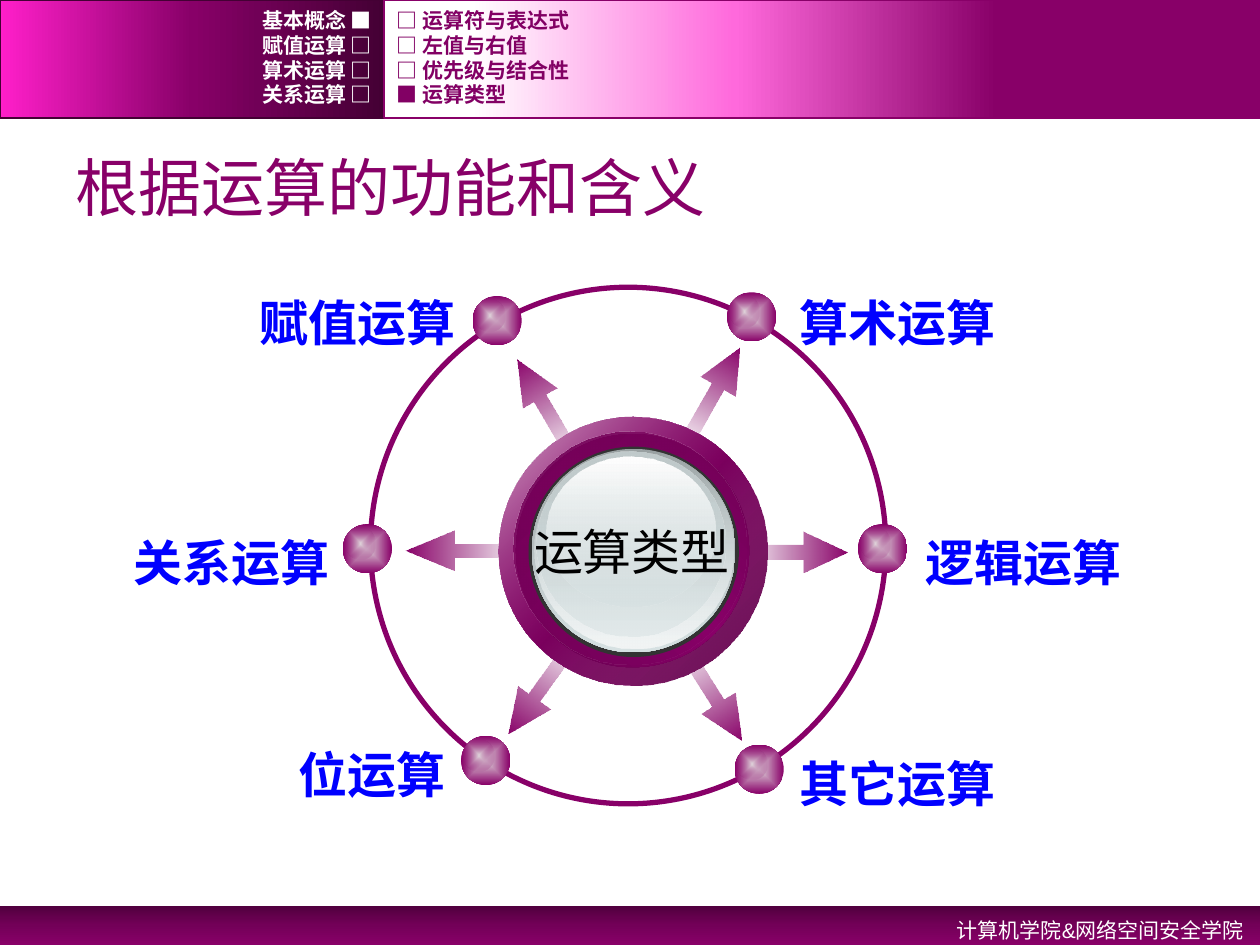
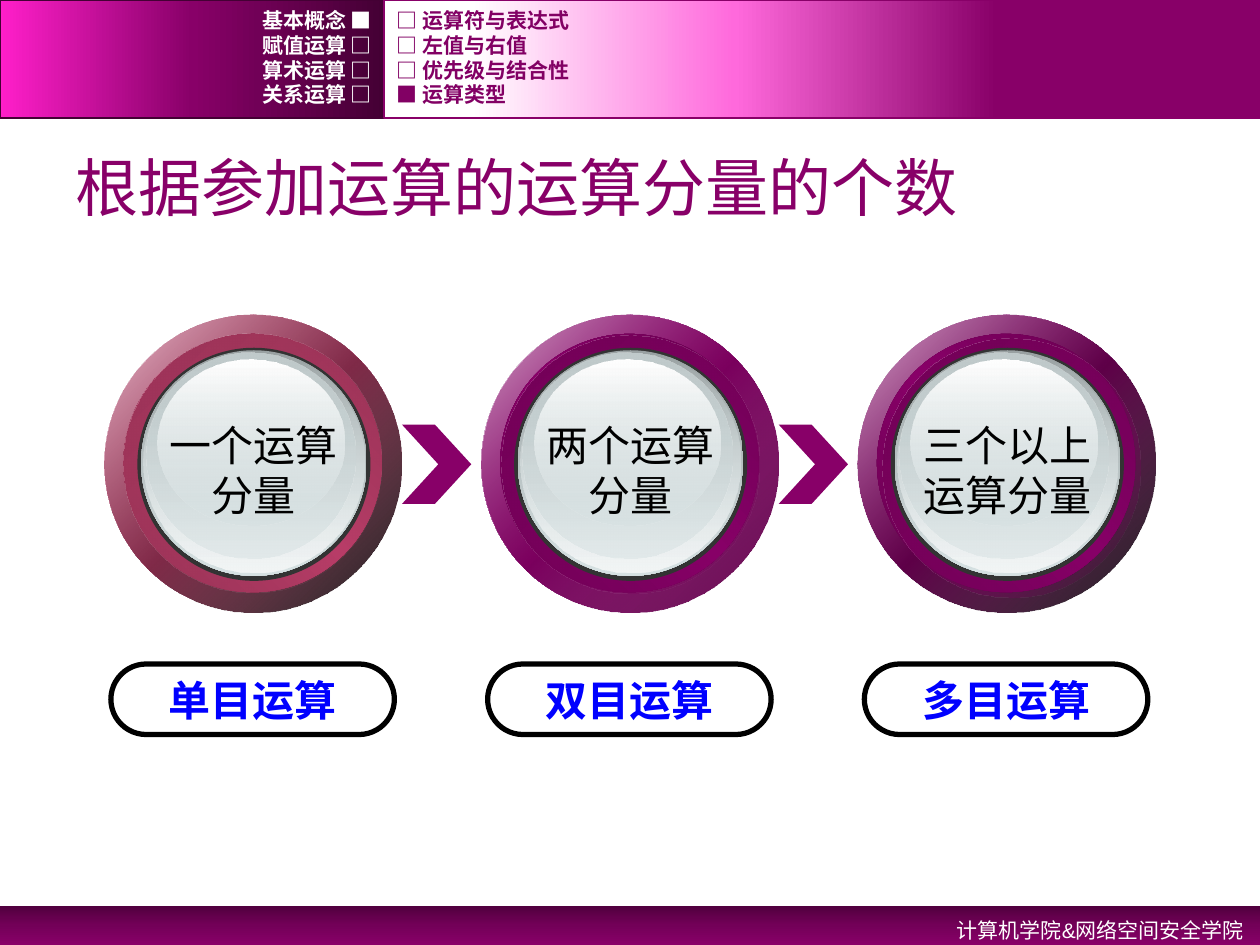
from dataclasses import dataclass
from typing import Optional, Union

import lxml.etree
import pptx
import pptx.dml.color
import pptx.enum.shapes
import pptx.enum.text
import pptx.oxml.ns
import pptx.presentation
import pptx.shapes.autoshape
import pptx.shapes.shapetree
import pptx.slide
import pptx.text.text
import pptx.util

Inches = pptx.util.Inches
SHAPE = pptx.enum.shapes.MSO_SHAPE
ALIGN = pptx.enum.text.PP_ALIGN
ANCHOR = pptx.enum.text.MSO_ANCHOR
qn = pptx.oxml.ns.qn
Canvas = Union[pptx.shapes.shapetree.SlideShapes, pptx.shapes.shapetree.GroupShapes]


@dataclass(frozen=True)
class Theme:
    plum: str = "880068"
    plum_deep: str = "680050"
    plum_dusk: str = "700055"
    plum_shade: str = "61004A"
    rose: str = "B83D68"
    rose_deep: str = "8D2F50"
    rose_dusk: str = "973255"
    night: str = "440034"
    menu: str = "820064"
    arrow: str = "810063"
    pearl: str = "E0D5DB"
    mist: str = "D6E1E2"
    blue: str = "0000FF"
    black: str = "000000"
    white: str = "FFFFFF"
    charcoal: str = "333333"
    sans: str = "Arial"
    mono: str = "Courier New"
    pill_font: str = "DejaVu Sans"
    chinese: str = "Noto Sans CJK SC"
    title_size: int = 36
    label_size: int = 28
    dial_size: int = 24
    small_size: int = 12


THEME = Theme()


@dataclass(frozen=True)
class Stop:
    position: int
    color: str
    alpha: int = 100


@dataclass(frozen=True)
class Gradient:
    stops: tuple[Stop, ...]
    angle: Optional[int] = None


@dataclass(frozen=True)
class Area:
    left: float
    top: float
    width: float
    height: float


@dataclass(frozen=True)
class Style:
    size: int
    color: str
    font: str
    bold: bool = False
    align: ALIGN = ALIGN.LEFT


@dataclass(frozen=True)
class Palette:
    base: str
    deep: str
    dusk: str
    shade: Stop


@dataclass(frozen=True)
class Spoke:
    label: str
    label_area: Area
    align: ALIGN
    node_left: float
    node_top: float
    arrow_area: Area
    angle: float
    head: float = 1.11


@dataclass(frozen=True)
class Stage:
    lines: tuple[str, ...]
    name: str
    palette: Palette
    sheen: float


def blend(angle: Optional[int], *stops: Stop) -> Gradient:
    return Gradient(stops, angle)


BLACK_SHADE = Stop(100, THEME.black, 90)
PLUM_SHADE = Stop(100, THEME.plum_shade)
PLUM = Palette(THEME.plum, THEME.plum_deep, THEME.plum_dusk, PLUM_SHADE)
PLUM_DARK = Palette(THEME.plum, THEME.plum_deep, THEME.plum_dusk, BLACK_SHADE)
ROSE = Palette(THEME.rose, THEME.rose_deep, THEME.rose_dusk, BLACK_SHADE)

DIAL_WIDTH = 2.36
GLASS = (
    (Area(0.29, 0.28, 1.79, 1.79), blend(90, Stop(0, "99A1A2"), Stop(100, THEME.mist))),
    (Area(0.31, 0.29, 1.75, 1.75), blend(90, Stop(0, THEME.mist, 0), Stop(100, "F2F5F5"))),
    (Area(0.33, 0.3, 1.66, 1.63), blend(90, Stop(0, "C1CBCC"), Stop(100, THEME.mist, 48))),
    (Area(0.42, 0.35, 1.48, 1.32), blend(90, Stop(0, THEME.white), Stop(100, THEME.mist, 38))),
)
ARROW_FILL = blend(0, Stop(0, THEME.arrow, 0), Stop(100, THEME.plum))

CHAPTERS = ("基本概念 ■", "赋值运算 □", "算术运算 □", "关系运算 □")
SECTIONS = ("□ 运算符与表达式", "□ 左值与右值", "□ 优先级与结合性", "■ 运算类型")
SPOKES = (
    Spoke("算术运算", Area(6.25, 2.27, 1.77, 0.57), ALIGN.LEFT, 5.77, 2.32,
          Area(5.22, 2.98, 0.87, 0.32), 299.6),
    Spoke("赋值运算", Area(1.94, 2.27, 1.77, 0.57), ALIGN.RIGHT, 3.75, 2.35,
          Area(3.89, 3.07, 0.87, 0.32), 239.5),
    Spoke("逻辑运算", Area(7.25, 4.18, 1.77, 0.57), ALIGN.LEFT, 6.81, 4.16,
          Area(5.86, 4.22, 0.87, 0.32), 0),
    Spoke("其它运算", Area(6.25, 5.93, 1.77, 0.57), ALIGN.LEFT, 5.83, 5.91,
          Area(5.22, 5.35, 0.87, 0.32), 57.8),
    Spoke("关系运算", Area(0.94, 4.18, 1.77, 0.57), ALIGN.RIGHT, 2.72, 4.16,
          Area(3.22, 4.21, 0.94, 0.32), 180, 1.21),
    Spoke("位运算", Area(2.25, 5.86, 1.38, 0.57), ALIGN.RIGHT, 3.66, 5.84,
          Area(3.85, 5.31, 0.87, 0.32), 125.6),
)
STAGES = (
    Stage(("一个运算", "分量"), "单目运算", ROSE, 0.15),
    Stage(("两个运算", "分量"), "双目运算", PLUM, 0.16),
    Stage(("三个以上", "运算分量"), "多目运算", PLUM_DARK, 0.19),
)


def rgb(color: str) -> pptx.dml.color.RGBColor:
    return pptx.dml.color.RGBColor.from_string(color)


def paint_gradient(shape: pptx.shapes.autoshape.Shape, gradient: Gradient) -> None:
    shape.fill.gradient()
    element = shape._element.spPr.find(qn("a:gradFill"))
    element.clear()
    element.set("rotWithShape", "1")
    stop_list = lxml.etree.SubElement(element, qn("a:gsLst"))
    for stop in gradient.stops:
        item = lxml.etree.SubElement(stop_list, qn("a:gs"), pos=str(stop.position * 1000))
        color = lxml.etree.SubElement(item, qn("a:srgbClr"), val=stop.color)
        if stop.alpha < 100:
            lxml.etree.SubElement(color, qn("a:alpha"), val=str(stop.alpha * 1000))
    if gradient.angle is None:
        route = lxml.etree.SubElement(element, qn("a:path"), path="shape")
        lxml.etree.SubElement(route, qn("a:fillToRect"), dict.fromkeys("ltrb", "50000"))
    else:
        lxml.etree.SubElement(element, qn("a:lin"), ang=str(gradient.angle * 60000), scaled="0")


def add_form(shapes: Canvas, kind: SHAPE, area: Area, fill: Union[Gradient, str, None] = None,
             line: Optional[str] = None, line_width: float = 1,
             adjustments: tuple[float, ...] = ()) -> pptx.shapes.autoshape.Shape:
    shape = shapes.add_shape(kind, Inches(area.left), Inches(area.top),
                             Inches(area.width), Inches(area.height))
    shape.shadow.inherit = False
    for index, value in enumerate(adjustments):
        shape.adjustments[index] = value
    if isinstance(fill, Gradient):
        paint_gradient(shape, fill)
    elif fill:
        shape.fill.solid()
        shape.fill.fore_color.rgb = rgb(fill)
    else:
        shape.fill.background()
    if line:
        shape.line.color.rgb = rgb(line)
        shape.line.width = pptx.util.Pt(line_width)
    else:
        shape.line.fill.background()
    return shape


def write(frame: pptx.text.text.TextFrame, lines: tuple[str, ...], style: Style,
          anchor: ANCHOR, wrap: bool, spacing: float = 1.0) -> None:
    frame.word_wrap = wrap
    frame.vertical_anchor = anchor
    for index, line in enumerate(lines):
        para = frame.add_paragraph() if index else frame.paragraphs[0]
        para.alignment = style.align
        para.line_spacing = spacing
        span = para.add_run()
        span.text = line
        span.font.size = pptx.util.Pt(style.size)
        span.font.bold = style.bold
        span.font.color.rgb = rgb(style.color)
        span.font.name = style.font
        lxml.etree.SubElement(span._r.get_or_add_rPr(), qn("a:ea"), typeface=THEME.chinese)


def add_text(page: pptx.slide.Slide, area: Area, lines: tuple[str, ...], style: Style,
             anchor: ANCHOR = ANCHOR.TOP, wrap: bool = False, spacing: float = 1.0) -> None:
    box = page.shapes.add_textbox(Inches(area.left), Inches(area.top),
                                  Inches(area.width), Inches(area.height))
    write(box.text_frame, lines, style, anchor, wrap, spacing)


def add_page(deck: pptx.presentation.Presentation, title: str) -> pptx.slide.Slide:
    page = deck.slides.add_slide(deck.slide_layouts[6])
    add_form(page.shapes, SHAPE.RECTANGLE, Area(0, 7.19, 10, 0.31),
             blend(90, Stop(0, "51003E"), Stop(50, "730058"), Stop(100, THEME.plum)))
    add_form(page.shapes, SHAPE.RECTANGLE, Area(0, 0, 3.05, 0.94),
             blend(180, Stop(0, THEME.night), Stop(50, THEME.plum), Stop(100, "FF1FCA")),
             THEME.night)
    add_form(page.shapes, SHAPE.RECTANGLE, Area(3.05, 0, 6.95, 0.94),
             blend(180, Stop(30, THEME.plum), Stop(60, "FF69DC"), Stop(90, THEME.white)),
             THEME.plum)
    add_text(page, Area(6.42, 7.19, 3.55, 0.32), ("计算机学院&网络空间安全学院",),
             Style(THEME.small_size, THEME.white, THEME.sans, align=ALIGN.RIGHT),
             wrap=True, spacing=1.2)
    add_text(page, Area(0.5, 1.09, 9, 0.78), (title,),
             Style(THEME.title_size, THEME.plum, THEME.sans), ANCHOR.MIDDLE, True)
    chapter_style = Style(THEME.small_size, THEME.white, THEME.mono, True, ALIGN.RIGHT)
    section_style = Style(THEME.small_size, THEME.menu, THEME.mono, True)
    for row, (chapter, section) in enumerate(zip(CHAPTERS, SECTIONS)):
        top = 0.06 + row * 0.197
        add_text(page, Area(0, top, 3.05, 0.2), (chapter,), chapter_style, ANCHOR.MIDDLE, True)
        add_text(page, Area(3.05, top, 6.02, 0.2), (section,), section_style, ANCHOR.MIDDLE, True)
    return page


def add_dial(page: pptx.slide.Slide, left: float, top: float, width: float,
             palette: Palette, sheen: float) -> None:
    scale = width / DIAL_WIDTH
    base = palette.base
    rim = Area(0, 0, DIAL_WIDTH, DIAL_WIDTH)
    layers = (
        (rim, blend(45, Stop(0, THEME.white), Stop(50, base), Stop(100, THEME.white))),
        (rim, blend(45, Stop(0, base, 32), palette.shade)),
        (Area(0.15, 0.15, 2.05, 2.05),
         blend(315, Stop(0, palette.deep), Stop(50, base), Stop(100, palette.deep))),
        (Area(sheen, sheen, 2.05, 2.05), blend(45, Stop(0, palette.dusk), Stop(100, base, 0))),
        (Area(0.26, 0.26, 1.85, 1.85), THEME.charcoal),
    )
    for area, fill in layers + GLASS:
        add_form(page.shapes, SHAPE.OVAL,
                 Area(left + area.left * scale, top + area.top * scale,
                      area.width * scale, area.height * scale), fill)


def add_node(page: pptx.slide.Slide, left: float, top: float) -> None:
    group = page.shapes.add_group_shape()
    add_form(group.shapes, SHAPE.OVAL, Area(left, top, 0.39, 0.39),
             blend(None, Stop(0, THEME.pearl), Stop(100, THEME.plum)))
    add_form(group.shapes, SHAPE.OVAL, Area(left + 0.02, top + 0.03, 0.24, 0.25),
             blend(None, Stop(0, THEME.pearl), Stop(100, THEME.plum, 0)))


def build_wheel(deck: pptx.presentation.Presentation) -> None:
    page = add_page(deck, "根据运算的功能和含义")
    for spoke in SPOKES:
        arrow = add_form(page.shapes, SHAPE.RIGHT_ARROW, spoke.arrow_area, ARROW_FILL,
                         adjustments=(0.352, spoke.head))
        arrow.rotation = spoke.angle
    add_form(page.shapes, SHAPE.OVAL, Area(2.94, 2.28, 4.09, 4.1),
             line=THEME.plum, line_width=3)
    for spoke in SPOKES:
        add_node(page, spoke.node_left, spoke.node_top)
        add_text(page, spoke.label_area, (spoke.label,),
                 Style(THEME.label_size, THEME.blue, THEME.sans, True, spoke.align))
    add_dial(page, 3.96, 3.31, 2.13, PLUM, 0.13)
    add_text(page, Area(4.13, 4.09, 1.77, 0.57), ("运算类型",),
             Style(THEME.label_size, THEME.black, THEME.chinese, align=ALIGN.CENTER))


def build_stages(deck: pptx.presentation.Presentation) -> None:
    page = add_page(deck, "根据参加运算的运算分量的个数")
    dial_style = Style(THEME.dial_size, THEME.black, THEME.chinese, align=ALIGN.CENTER)
    pill_style = Style(THEME.dial_size, THEME.blue, THEME.pill_font, True, ALIGN.CENTER)
    for index, stage in enumerate(STAGES):
        left = 0.83 + index * 2.99
        if index:
            add_form(page.shapes, SHAPE.CHEVRON, Area(left - 0.63, 3.37, 0.55, 0.63),
                     THEME.plum, adjustments=(0.525,))
        add_dial(page, left, 2.5, DIAL_WIDTH, stage.palette, stage.sheen)
        add_text(page, Area(left + 0.41, 3.28, 1.55, 0.91), stage.lines, dial_style)
        pill = add_form(page.shapes, SHAPE.ROUNDED_RECTANGLE, Area(left + 0.05, 5.27, 2.25, 0.56),
                        line=THEME.black, line_width=3, adjustments=(0.5,))
        write(pill.text_frame, (stage.name,), pill_style, ANCHOR.MIDDLE, False)


def main() -> None:
    deck = pptx.Presentation()
    deck.slide_width, deck.slide_height = Inches(10), Inches(7.5)
    build_wheel(deck)
    build_stages(deck)
    deck.save("out.pptx")


if __name__ == "__main__":
    main()
